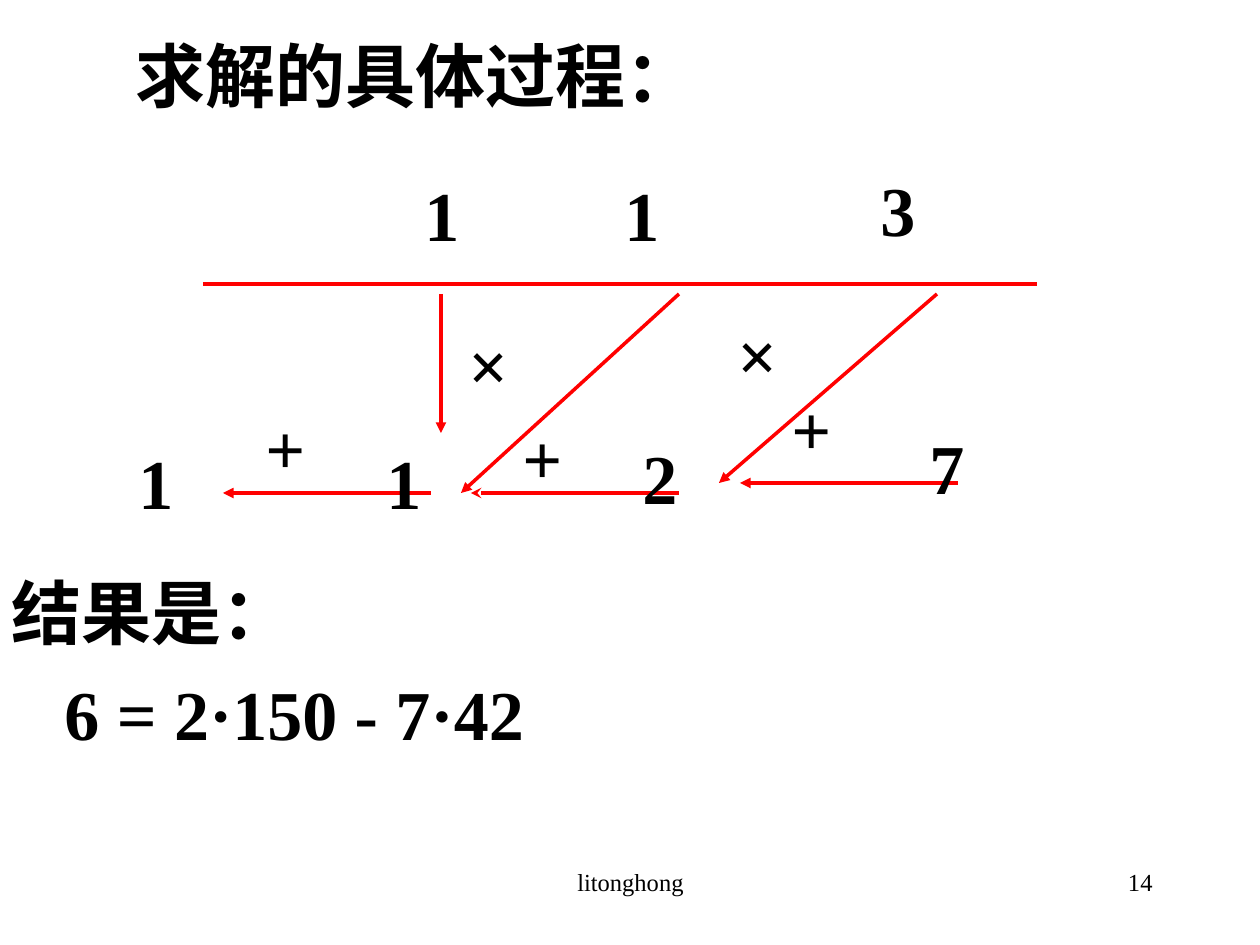
from dataclasses import dataclass
from typing import Any

import pptx
import pptx.dml.color
import pptx.enum.lang
import pptx.enum.shapes
import pptx.enum.text
import pptx.oxml
import pptx.oxml.ns
import pptx.util

SCALE = 914400 // 126
ALIGN = pptx.enum.text.PP_ALIGN
AUTO = pptx.enum.text.MSO_AUTO_SIZE


@dataclass(frozen=True)
class Theme:
    font: str = "Times New Roman"
    ink: str = "000000"
    line: str = "FF0000"
    body_size: int = 40
    footer_size: int = 14
    line_width: int = 2
    space_before: int = 10


@dataclass(frozen=True)
class Label:
    text: str
    x: int
    y: int
    w: int = 155
    h: int = 97
    wrap: bool = False


@dataclass(frozen=True)
class Footer:
    text: str
    x: int
    w: int
    align: Any


@dataclass(frozen=True)
class Line:
    x1: int
    y1: int
    x2: int
    y2: int
    head: str = ""


THEME = Theme()
BODY = {"size": pptx.util.Pt(THEME.body_size), "bold": True}
CHINESE = BODY | {"language_id": pptx.enum.lang.MSO_LANGUAGE_ID.SIMPLIFIED_CHINESE}
FOOTER = {"size": pptx.util.Pt(THEME.footer_size), "bold": False}
PARAGRAPH = {"alignment": ALIGN.LEFT, "space_before": pptx.util.Pt(THEME.space_before)}
FRAME = {
    "margin_left": pptx.util.Inches(0.1),
    "margin_right": pptx.util.Inches(0.1),
    "margin_top": pptx.util.Inches(0.05),
    "margin_bottom": pptx.util.Inches(0.05),
    "vertical_anchor": pptx.enum.text.MSO_ANCHOR.TOP,
}

LINES = [
    Line(203, 284, 1037, 284),
    Line(431, 493, 223, 493, "triangle"),
    Line(441, 294, 441, 433, "triangle"),
    Line(679, 294, 461, 493, "triangle"),
    Line(679, 493, 471, 493, "stealth"),
    Line(937, 294, 719, 483, "triangle"),
    Line(958, 483, 740, 483, "triangle"),
]
LABELS = [
    Label("1", 412, 165, w=49, wrap=True),
    Label("1", 612, 165),
    Label("3", 868, 160),
    Label("1", 126, 433),
    Label("1", 374, 433),
    Label("2", 630, 428),
    Label("7", 917, 418),
    Label("+", 253, 398, w=159),
    Label("+", 510, 408, w=159),
    Label("+", 779, 379, w=159),
    Label("×", 456, 315, w=159),
    Label("×", 725, 305, w=159),
]
FOOTERS = [
    Footer("litonghong", 431, 399, ALIGN.CENTER),
    Footer("14", 903, 262, ALIGN.RIGHT),
]


def px(n: int) -> int:
    return n * SCALE


def apply(target: Any, values: dict[str, Any]) -> None:
    for name, value in values.items():
        setattr(target, name, value)


def write(p: Any, text: str, font: dict[str, Any], paragraph: dict[str, Any]) -> None:
    apply(p, paragraph)
    r = p.add_run()
    r.text = text
    apply(r.font, {"name": THEME.font} | font)
    r.font.color.rgb = pptx.dml.color.RGBColor.from_string(THEME.ink)


def add_box(s: Any, x: int, y: int, w: int, h: int, wrap: bool, auto: Any) -> Any:
    tf = s.shapes.add_textbox(px(x), px(y), px(w), px(h)).text_frame
    apply(tf, FRAME | {"word_wrap": wrap, "auto_size": auto})
    return tf


def add_title(s: Any, text: str) -> None:
    sp = s.shapes.title
    apply(sp, {"left": px(123), "top": px(26), "width": px(1080), "height": px(883)})
    tf = sp.text_frame
    apply(tf, FRAME | {"word_wrap": True, "auto_size": AUTO.NONE})
    write(tf.paragraphs[0], text, CHINESE, PARAGRAPH)


def add_line(s: Any, line: Line) -> None:
    kind = pptx.enum.shapes.MSO_CONNECTOR.STRAIGHT
    sp = s.shapes.add_connector(kind, px(line.x1), px(line.y1), px(line.x2), px(line.y2))
    sp.line.width = pptx.util.Pt(THEME.line_width)
    sp.line.color.rgb = pptx.dml.color.RGBColor.from_string(THEME.line)
    if line.head:
        tail = pptx.oxml.parse_xml(
            f'<a:tailEnd {pptx.oxml.ns.nsdecls("a")} type="{line.head}"/>'
        )
        sp.line._get_or_add_ln().append(tail)
    effects = pptx.oxml.parse_xml(f'<a:effectLst {pptx.oxml.ns.nsdecls("a")}/>')
    sp._element.spPr.append(effects)


def add_label(s: Any, label: Label) -> None:
    tf = add_box(s, label.x, label.y, label.w, label.h, label.wrap, AUTO.SHAPE_TO_FIT_TEXT)
    write(tf.paragraphs[0], label.text, BODY, PARAGRAPH)


def add_result(s: Any, heading: str, equation: str) -> None:
    tf = add_box(s, -1, 563, 631, 300, False, AUTO.SHAPE_TO_FIT_TEXT)
    write(tf.paragraphs[0], heading, CHINESE, PARAGRAPH)
    p = tf.add_paragraph()
    write(p, equation, BODY, PARAGRAPH)
    p._p.get_or_add_pPr().set("marL", str(px(53)))


def add_footer(s: Any, footer: Footer) -> None:
    tf = add_box(s, footer.x, 861, footer.w, 63, True, AUTO.NONE)
    write(tf.paragraphs[0], footer.text, FOOTER, {"alignment": footer.align})


def main() -> None:
    prs = pptx.Presentation()
    apply(prs, {"slide_width": px(1260), "slide_height": px(945)})
    s = prs.slides.add_slide(prs.slide_layouts[5])
    add_title(s, "求解的具体过程：")
    for line in LINES:
        add_line(s, line)
    for label in LABELS:
        add_label(s, label)
    add_result(s, "结果是：", "6 = 2·150 - 7·42")
    for footer in FOOTERS:
        add_footer(s, footer)
    prs.save("out.pptx")


main()
